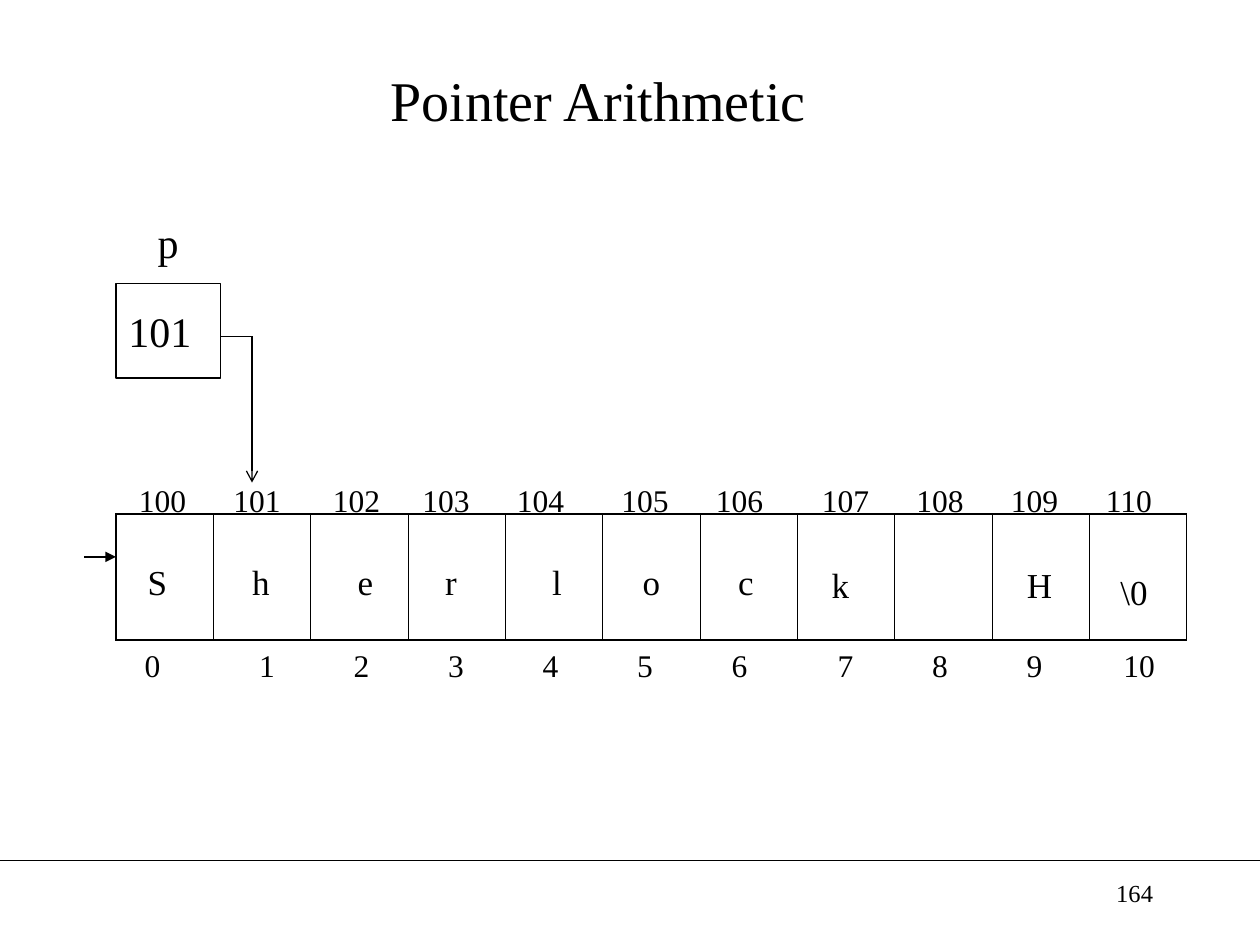
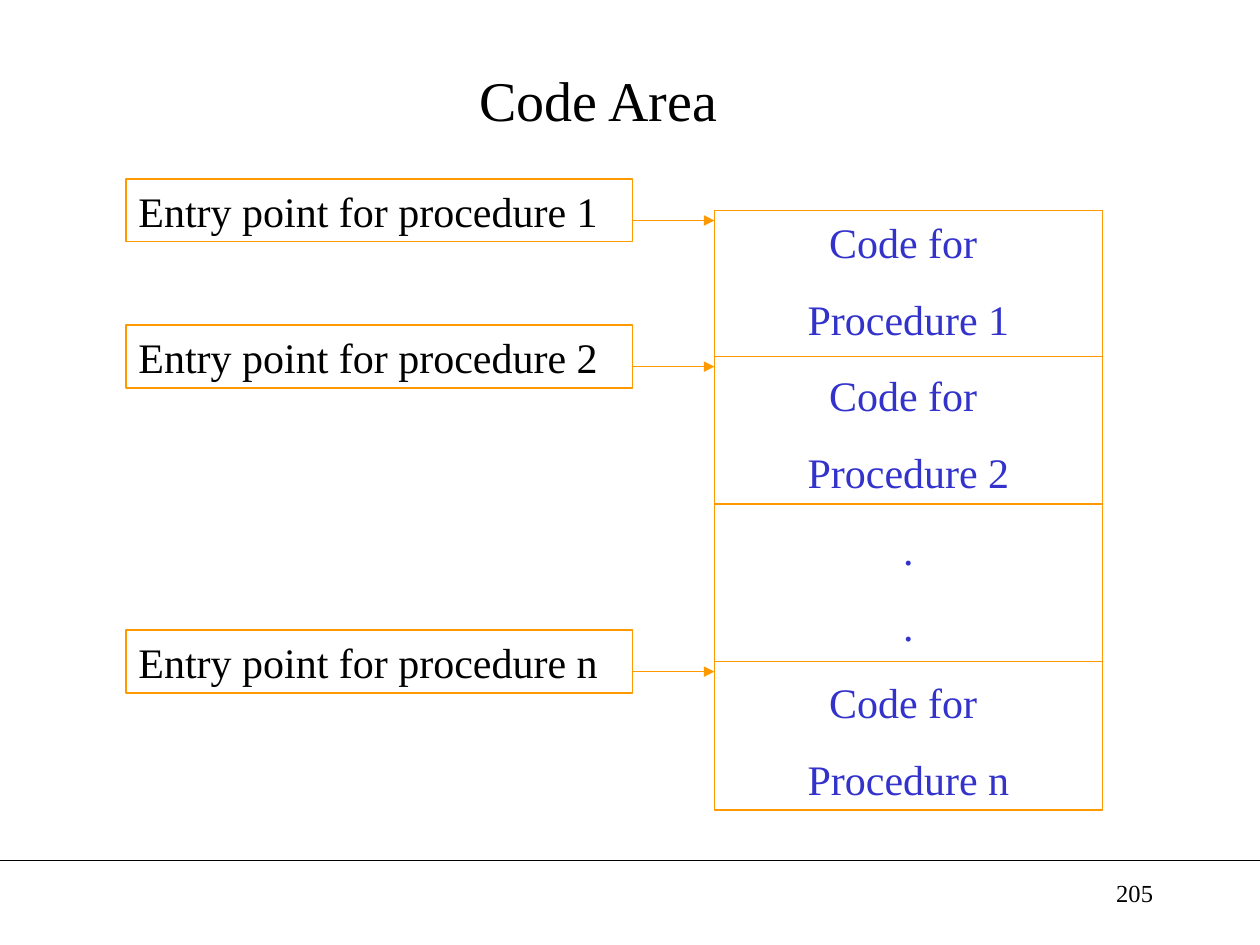
from dataclasses import dataclass

from lxml import etree
from pptx import Presentation
from pptx.dml.color import RGBColor
from pptx.enum import shapes, text
from pptx.oxml import ns
from pptx.util import Inches, Pt


@dataclass(frozen=True)
class Theme:
    font: str = "Times New Roman"
    ink: str = "000000"
    paper: str = "FFFFFF"
    outline: str = "FF9900"
    code: str = "3333CC"
    title: int = 32
    body: int = 24
    letter: int = 20
    label: int = 18
    number: int = 14
    line: float = 0.75
    cell_outer: float = 1.08
    cell_inner: float = 0.45


THEME = Theme()
LEFT, CENTER, RIGHT = text.PP_ALIGN.LEFT, text.PP_ALIGN.CENTER, text.PP_ALIGN.RIGHT
TOP, MIDDLE = text.MSO_ANCHOR.TOP, text.MSO_ANCHOR.MIDDLE

INDEX_LEFTS = [0.92, 1.83, 2.58, 3.33, 4.08, 4.83, 5.58, 6.42, 7.17, 7.92, 8.75]
ADDRESS_CENTERS = [1.29, 2.04, 2.83, 3.54, 4.29, 5.12, 5.87, 6.71, 7.46, 8.21, 8.96]
LETTERS = [
    ("S", 1, 4.4), ("h", 1.82, 4.4), ("e", 2.65, 4.4), ("r", 3.33, 4.4),
    ("l", 4.17, 4.4), ("o", 4.92, 4.4), ("c", 5.67, 4.4), ("k", 6.42, 4.42),
    ("H", 8, 4.42), ("\\0", 8.75, 4.48),
]


def sub(parent, tag, **attributes):
    return etree.SubElement(parent, ns.qn(tag), attributes)


def write(frame, content, *, size=THEME.body, color=THEME.ink, align=CENTER,
          anchor=TOP, gap=0):
    frame.word_wrap = True
    frame.auto_size = text.MSO_AUTO_SIZE.NONE
    frame.vertical_anchor = anchor
    frame.text = content
    for position, paragraph in enumerate(frame.paragraphs):
        paragraph.alignment = align
        paragraph.space_before = Pt(gap if position else 0)
        paragraph.font.name = THEME.font
        paragraph.font.size = Pt(size)
        paragraph.font.color.rgb = RGBColor.from_string(color)


def add_label(slide, content, left, top, width, height, **style):
    label = slide.shapes.add_textbox(*map(Inches, (left, top, width, height)))
    write(label.text_frame, content, **style)


def add_box(slide, content, left, top, width, height, *, fill=None,
            outline=THEME.ink, **style):
    box = slide.shapes.add_shape(shapes.MSO_SHAPE.RECTANGLE,
                                 *map(Inches, (left, top, width, height)))
    box.shadow.inherit = False
    if fill:
        box.fill.solid()
        box.fill.fore_color.rgb = RGBColor.from_string(fill)
    else:
        box.fill.background()
    box.line.color.rgb = RGBColor.from_string(outline)
    box.line.width = Pt(THEME.line)
    write(box.text_frame, content, **style)


def add_line(slide, start, end, *, color=THEME.ink, head=None):
    line = slide.shapes.add_connector(shapes.MSO_CONNECTOR.STRAIGHT,
                                      *map(Inches, (*start, *end)))
    line.line.color.rgb = RGBColor.from_string(color)
    line.line.width = Pt(THEME.line)
    if head:
        sub(line.line._get_or_add_ln(), "a:tailEnd", type=head)
    sub(line.element.spPr, "a:effectLst")
    return line


def set_borders(cell, widths):
    properties = cell._tc.get_or_add_tcPr()
    for side, width in widths.items():
        border = sub(properties, f"a:ln{side}", w=str(Pt(width)))
        sub(sub(border, "a:solidFill"), "a:srgbClr", val=THEME.ink)


def add_memory(slide, count, left, top, width, height):
    memory = slide.shapes.add_table(
        1, count, *map(Inches, (left, top, width, height))).table
    memory.first_row = False
    memory.horz_banding = False
    outer, inner = THEME.cell_outer, THEME.cell_inner
    for column in range(count):
        memory.columns[column].width = Inches(width / count)
        cell = memory.cell(0, column)
        set_borders(cell, {
            "L": inner if column else outer,
            "R": inner if column < count - 1 else outer,
            "T": outer,
            "B": outer,
        })
        cell.fill.background()


def add_footer_rule(slide):
    rule = add_line(slide, (0, 6.83), (10, 6.83))
    rule.element.nvCxnSpPr.cNvPr.id = 20
    slide.slide_layout.shapes.element.append(rule.element)


def add_titled_slide(deck, title, number):
    slide = deck.slides.add_slide(deck.slide_layouts[5])
    heading = slide.shapes.title
    heading.left, heading.top = Inches(0.5), Inches(0.25)
    heading.width, heading.height = Inches(8.5), Inches(1.08)
    write(heading.text_frame, title, size=THEME.title, anchor=MIDDLE)
    add_label(slide, number, 7.17, 6.92, 2.08, 0.5, size=THEME.number, align=RIGHT)
    return slide


def build_pointer_arithmetic(deck):
    slide = add_titled_slide(deck, "Pointer Arithmetic", "164")
    add_footer_rule(slide)
    add_memory(slide, len(INDEX_LEFTS), 0.92, 4.08, 8.5, 1)
    add_label(slide, "p", 0.67, 1.67, 1.33, 0.5)
    add_box(slide, "101", 0.92, 2.25, 0.83, 0.75, align=LEFT, anchor=MIDDLE)
    add_line(slide, (1.75, 2.67), (2, 2.67))
    add_line(slide, (2, 2.67), (2, 3.83), head="arrow")
    add_line(slide, (0.67, 4.42), (0.92, 4.42), head="triangle")
    for index, (left, center) in enumerate(zip(INDEX_LEFTS, ADDRESS_CENTERS)):
        add_label(slide, str(index), left, 5.08, 0.58, 0.4, size=THEME.label)
        add_label(slide, str(100 + index), center - 0.29, 3.77, 0.58, 0.4,
                  size=THEME.label)
    for letter, left, top in LETTERS:
        add_label(slide, letter, left, top, 0.5, 0.44, size=THEME.letter)


def build_code_area(deck):
    slide = add_titled_slide(deck, "Code Area", "205")
    area_left, area_width = 5.67, 3.08
    blocks = ["Code for \nProcedure 1", "Code for \nProcedure 2", ".\n.",
              "Code for \nProcedure n"]
    add_box(slide, "\n".join(blocks), area_left, 1.67, area_width, 4.76,
            fill=THEME.paper, outline=THEME.outline, color=THEME.code, gap=15)
    for divider in (2.83, 4, 5.25):
        add_line(slide, (area_left, divider), (area_left + area_width, divider),
                 color=THEME.outline)
    for procedure, top in (("1", 1.42), ("2", 2.58), ("n", 5)):
        add_line(slide, (4.92, top + 0.33), (area_left, top + 0.33),
                 color=THEME.outline, head="triangle")
        add_box(slide, f"Entry point for procedure {procedure}", 1, top, 4.02, 0.5,
                fill=THEME.paper, outline=THEME.outline, align=LEFT)


def main():
    deck = Presentation()
    deck.slide_width, deck.slide_height = Inches(10), Inches(7.5)
    build_pointer_arithmetic(deck)
    build_code_area(deck)
    deck.save("out.pptx")


if __name__ == "__main__":
    main()
